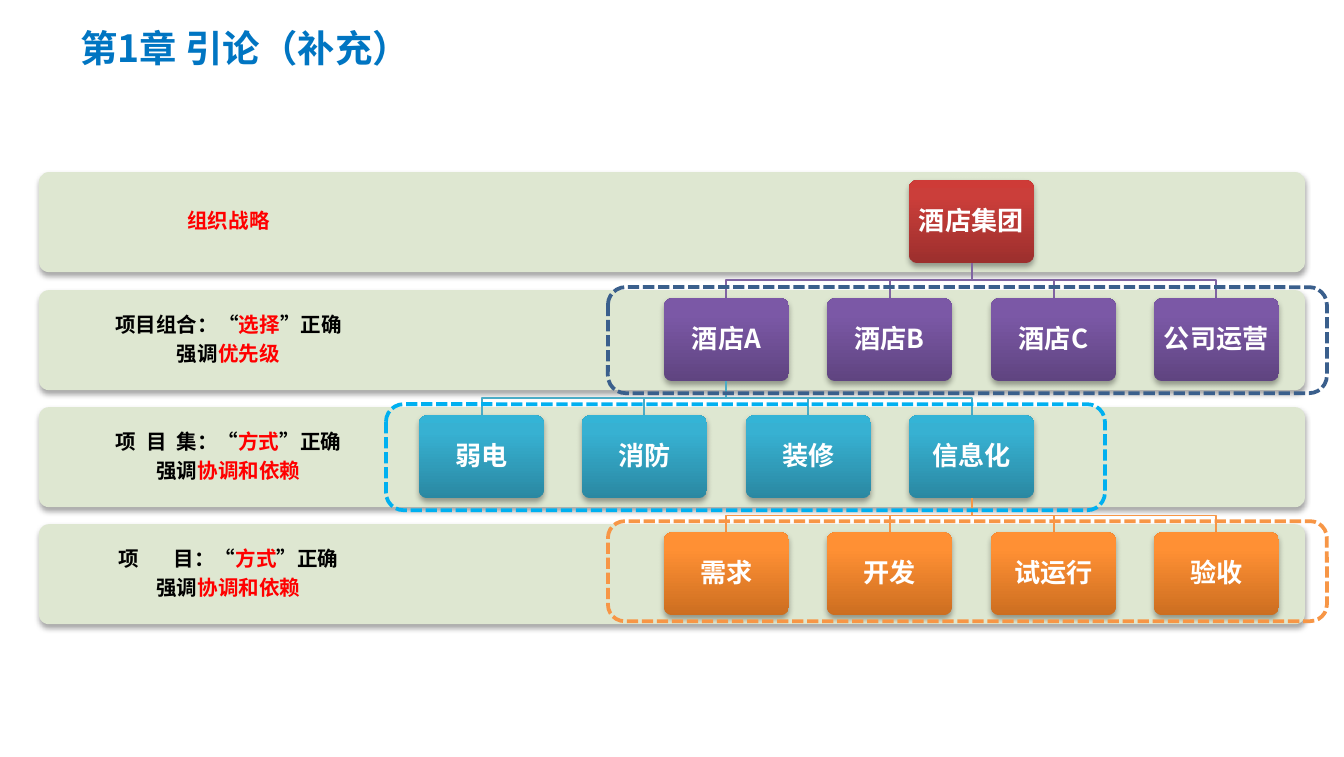
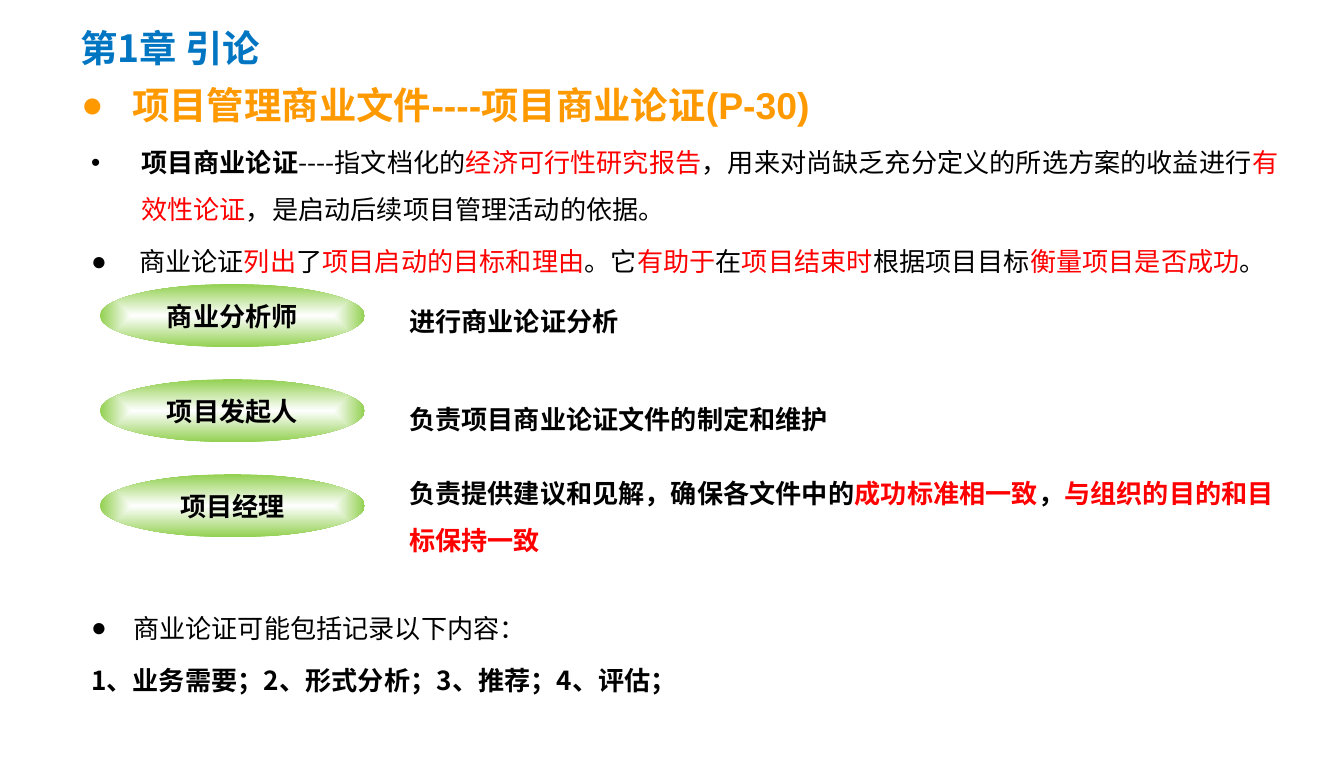
from dataclasses import dataclass

from lxml import etree
from pptx import Presentation
from pptx.dml.color import RGBColor
from pptx.enum.dml import MSO_LINE
from pptx.enum.shapes import MSO_SHAPE
from pptx.enum.text import MSO_ANCHOR, MSO_AUTO_SIZE, PP_ALIGN
from pptx.oxml import parse_xml
from pptx.oxml.ns import nsdecls, qn
from pptx.util import Emu, Inches, Pt

PX = 914400 / 134.4


@dataclass(frozen=True)
class Theme:
    font: str = "Noto Sans CJK SC"
    latin: str = "Arial"
    title: str = "0075C2"
    heading: str = "FF9900"
    text: str = "000000"
    accent: str = "FF0000"
    light: str = "FFFFFF"
    band: str = "DEE7D1"
    title_size: int = 20
    body_size: int = 14
    label_size: int = 11
    # Gradient stops run from the bottom edge to the top edge
    red: tuple = ((0, "9C2F2D"), (80, "CB3E3A"), (100, "CE3B37"))
    purple: tuple = ((0, "5F4480"), (80, "7B58A6"), (100, "7C57A8"))
    teal: tuple = ((0, "2A88A2"), (80, "37B1D2"), (100, "34B4D6"))
    orange: tuple = ((0, "CC6E20"), (80, "FF9034"), (100, "FF9136"))
    green: tuple = ((0, "FFFFFF"), (100, "92D050"))


T = Theme()
UPWARD = '<a:lin ang="16200000" scaled="0"/>'
FROM_CENTRE = ('<a:path path="shape"><a:fillToRect l="50000" t="50000" '
               'r="50000" b="50000"/></a:path>')


def px(n):
    return Emu(round(n * PX))


def rgb(color):
    return RGBColor.from_string(color)


# Text helpers
def format_run(r, size, color, bold, latin=T.font):
    r.font.size = Pt(size)
    r.font.bold = bold
    r.font.name = latin
    r.font.color.rgb = rgb(color)
    ea = etree.SubElement(r.font._element, qn("a:ea"))
    ea.set("typeface", T.font)


def write(p, text, size, color=T.text, bold=True, latin=T.font):
    """Fill a paragraph; each * switches between its colour and the accent."""
    for i, part in enumerate(text.split("*")):
        if part:
            r = p.add_run()
            r.text = part
            format_run(r, size, T.accent if i % 2 else color, bold, latin)


def set_bullet(p, char, indent):
    pPr = p._p.get_or_add_pPr()
    pPr.set("marL", str(px(indent)))
    pPr.set("indent", str(-px(indent)))
    etree.SubElement(pPr, qn("a:buFont")).set("typeface", T.latin)
    etree.SubElement(pPr, qn("a:buChar")).set("char", char)


def add_text_box(slide, box, anchor=MSO_ANCHOR.TOP, inset=None):
    tf = slide.shapes.add_textbox(*map(px, box)).text_frame
    tf.word_wrap = True
    tf.vertical_anchor = anchor
    if inset is not None:
        set_insets(tf, inset)
    return tf


def set_insets(tf, inset):
    tf.margin_left = tf.margin_right = px(inset)
    tf.margin_top = tf.margin_bottom = px(inset)


# Shape helpers
def add_plain_shape(slide, kind, box):
    sp = slide.shapes.add_shape(kind, *map(px, box))
    sp.shadow.inherit = False
    sp.fill.background()
    sp.line.fill.background()
    return sp


def set_gradient(sp, stops, direction):
    gs = "".join(f'<a:gs pos="{pos * 1000}"><a:srgbClr val="{color}"/></a:gs>'
                 for pos, color in stops)
    spPr = sp._element.spPr
    spPr.replace(spPr.find(qn("a:noFill")), parse_xml(
        f'<a:gradFill {nsdecls("a")} rotWithShape="1"><a:gsLst>{gs}</a:gsLst>'
        f'{direction}</a:gradFill>'))


def add_shadow(sp):
    sp._element.spPr.find(qn("a:effectLst")).append(parse_xml(
        f'<a:outerShdw {nsdecls("a")} blurRad="40000" dist="23000" '
        'dir="5400000" rotWithShape="0"><a:srgbClr val="000000">'
        '<a:alpha val="35000"/></a:srgbClr></a:outerShdw>'))


def add_rounded(slide, box):
    sp = add_plain_shape(slide, MSO_SHAPE.ROUNDED_RECTANGLE, box)
    sp.adjustments[0] = 0.1
    add_shadow(sp)
    return sp


def add_title(slide, text):
    tf = add_text_box(slide, (67, 19, 922, 49))
    write(tf.paragraphs[0], text, T.title_size, T.title)


# Slide 1: layered project hierarchy
NODE_W, NODE_H = 125, 83


def add_band(slide, box, lines, spacing):
    x, y, w, h = box
    sp = add_rounded(slide, box)
    sp.fill.solid()
    sp.fill.fore_color.rgb = rgb(T.band)
    tf = add_text_box(slide, (x, y, 379, h), MSO_ANCHOR.MIDDLE, 12)
    for i, line in enumerate(lines):
        p = tf.add_paragraph() if i else tf.paragraphs[0]
        p.alignment = PP_ALIGN.CENTER
        p.line_spacing = 0.9
        p.space_after = Pt(4)
        write(p, line, T.label_size)
    if spacing:
        first = tf.paragraphs[0].runs[0]
        first.font._element.set("spc", str(spacing))


def add_node(slide, x, y, label, stops):
    sp = add_rounded(slide, (x, y, NODE_W, NODE_H))
    set_gradient(sp, stops, UPWARD)
    tf = sp.text_frame
    tf.word_wrap = True
    tf.vertical_anchor = MSO_ANCHOR.MIDDLE
    set_insets(tf, 4)
    p = tf.paragraphs[0]
    p.alignment = PP_ALIGN.CENTER
    p.line_spacing = 0.9
    write(p, label, T.body_size, T.light)


def add_branch(slide, start, end, color):
    (x1, y1), (x2, y2) = start, end
    mid = (y1 + y2) / 2
    builder = slide.shapes.build_freeform(x1, y1, scale=PX)
    builder.add_line_segments([(x1, mid), (x2, mid), (x2, y2)], close=False)
    sp = builder.convert_to_shape()
    sp.shadow.inherit = False
    sp.fill.background()
    sp.line.color.rgb = rgb(color)
    sp.line.width = Pt(0.75)


def add_frame(slide, box, color):
    sp = add_plain_shape(slide, MSO_SHAPE.ROUNDED_RECTANGLE, box)
    sp.line.color.rgb = rgb(color)
    sp.line.width = Pt(2)
    sp.line.dash_style = MSO_LINE.SQUARE_DOT


def add_hierarchy(slide, box, levels):
    left, top, width, height = box
    gap = 17
    band_h = (height - gap * (len(levels) - 1)) / len(levels)
    tops = [round(top + i * (band_h + gap)) for i in range(len(levels))]

    def column(c):
        return round(left + 380 + 163.3 * c)

    # Bands lie under everything else
    for y, level in zip(tops, levels):
        add_band(slide, (left, y, width, round(band_h)),
                 level["lines"], level.get("spacing"))

    # Branches, then the nodes they lead to
    for y, level in zip(tops, levels):
        node_y = y + 8
        for i, label in enumerate(level["nodes"]):
            x = column(level["first"] + i)
            if "parent" in level:
                parent_row, parent_col = level["parent"]
                start = (column(parent_col) + NODE_W / 2,
                         tops[parent_row] + 8 + NODE_H)
                add_branch(slide, start, (x + NODE_W / 2, node_y), level["line"])
            add_node(slide, x, node_y, label, level["fill"])

    # Dashed frames around the levels
    for y, level in zip(tops, levels):
        if "frame" in level:
            x = column(level["first"]) - (56 if level["first"] else 33)
            add_frame(slide, (x, y - 3, 719, level["frame_h"]), level["frame"])


LEVELS = [
    dict(lines=["*组织战略"], nodes=["酒店集团"], first=3, fill=T.red),
    dict(lines=["项目组合：“*选择*”正确", "强调*优先级"],
         nodes=["酒店A", "酒店B", "酒店C", "公司运营"], first=1.5,
         parent=(0, 3), fill=T.purple, line="8064A2", frame="3A5F8C",
         frame_h=106),
    dict(lines=["项目**集：“*方式*”正确", "强调*协调和依赖"], spacing=525,
         nodes=["弱电", "消防", "装修", "信息化"], first=0,
         parent=(1, 1.5), fill=T.teal, line="4BACC6", frame="00B0F0",
         frame_h=106),
    dict(lines=["项**目：“*方式*”正确", "强调*协调和依赖"], spacing=1850,
         nodes=["需求", "开发", "试运行", "验收"], first=1.5,
         parent=(2, 3), fill=T.orange, line="F79646", frame="F79646",
         frame_h=100),
]


# Slide 2: business case
def add_heading(slide, box, text):
    tf = add_text_box(slide, box, MSO_ANCHOR.MIDDLE)
    p = tf.paragraphs[0]
    set_bullet(p, "●", 51)
    write(p, text, T.title_size, T.heading, latin=T.latin)


def add_body(slide, box, items):
    tf = add_text_box(slide, box)
    for i, (text, bullet, indent, before, bold) in enumerate(items):
        p = tf.add_paragraph() if i else tf.paragraphs[0]
        p.line_spacing = 1.5
        p.space_before = Pt(before)
        if bullet:
            set_bullet(p, bullet, indent)
        write(p, text, T.body_size, bold=bold)
    tf.paragraphs[0].runs[0].font.bold = True


def add_role(slide, box, name, duty, duty_box):
    sp = add_plain_shape(slide, MSO_SHAPE.OVAL, box)
    set_gradient(sp, T.green, FROM_CENTRE)
    tf = sp.text_frame
    tf.word_wrap = False
    tf.vertical_anchor = MSO_ANCHOR.MIDDLE
    tf.paragraphs[0].alignment = PP_ALIGN.CENTER
    write(tf.paragraphs[0], name, T.body_size)

    tf = add_text_box(slide, duty_box)
    tf.auto_size = MSO_AUTO_SIZE.SHAPE_TO_FIT_TEXT
    tf.paragraphs[0].line_spacing = 1.5
    write(tf.paragraphs[0], duty, T.body_size)


def add_roles(slide, box, roles):
    x, y, w, h = box
    for i, (name, duty, dy, duty_w, duty_h) in enumerate(roles):
        add_role(slide, (x, y + 95 * i, w, h), name, duty,
                 (x + 296, y + dy, duty_w, duty_h))


BODY = [  # text, bullet, indent, space before, bold
    ("项目商业论证**----指文档化的*经济可行性研究报告*，用来对尚缺乏充分定义的"
     "所选方案的收益进行*有效性论证*，是启动后续项目管理活动的依据。",
     "•", 50, 2.8, False),
    ("商业论证*列出*了*项目启动的目标和理由*。它*有助于*在*项目结束时*"
     "根据项目目标*衡量项目是否成功*。", "●", 48, 2.8, False),
    ("商业论证可能包括记录以下内容：", "●", 42, 171, False),
    ("1、业务需要；2、形式分析；3、推荐；4、评估；", None, 0, 2.8, True),
]
ROLES = [  # name, duty, duty offset, duty width, duty height
    ("商业分析师", "进行商业论证分析", -1, 814, 55),
    ("项目发起人", "负责项目商业论证文件的制定和维护", 97, 814, 60),
    ("项目经理", "负责提供建议和见解，确保各文件中的*成功标准相一致*，"
     "*与组织的目的和目标保持一致", 171, 899, 103),
]

prs = Presentation()
prs.slide_width, prs.slide_height = Inches(10), Inches(5.63)
blank = prs.slide_layouts[6]

slide = prs.slides.add_slide(blank)
add_hierarchy(slide, (39, 172, 1266, 453), LEVELS)
add_title(slide, "第1章 引论（补充）")

slide = prs.slides.add_slide(blank)
add_title(slide, "第1章 引论")
add_heading(slide, (68, 85, 922, 40), "项目管理商业文件----项目商业论证(P-30)")
add_body(slide, (78, 124, 1239, 582), BODY)
add_roles(slide, (100, 284, 265, 63), ROLES)

prs.save("out.pptx")
